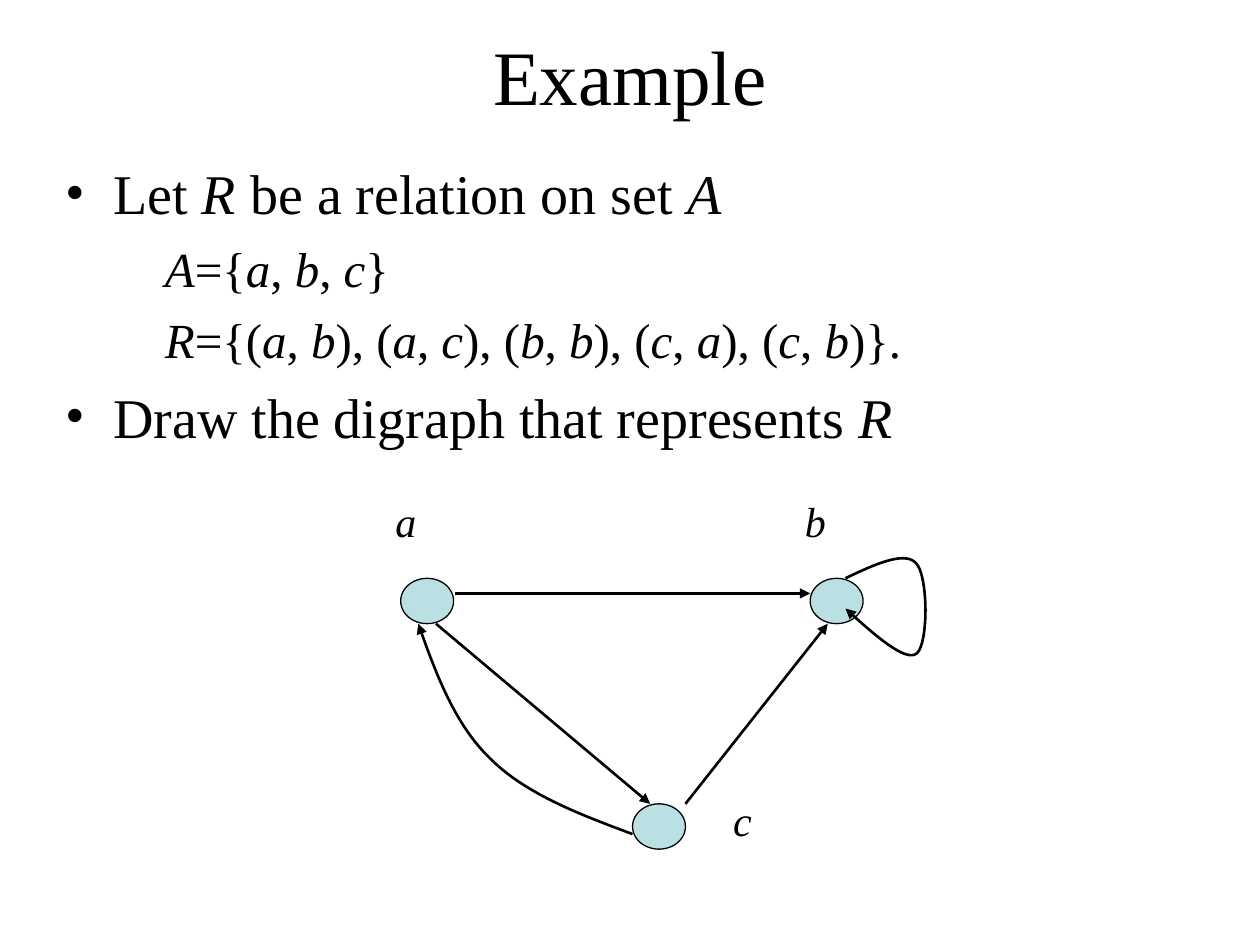
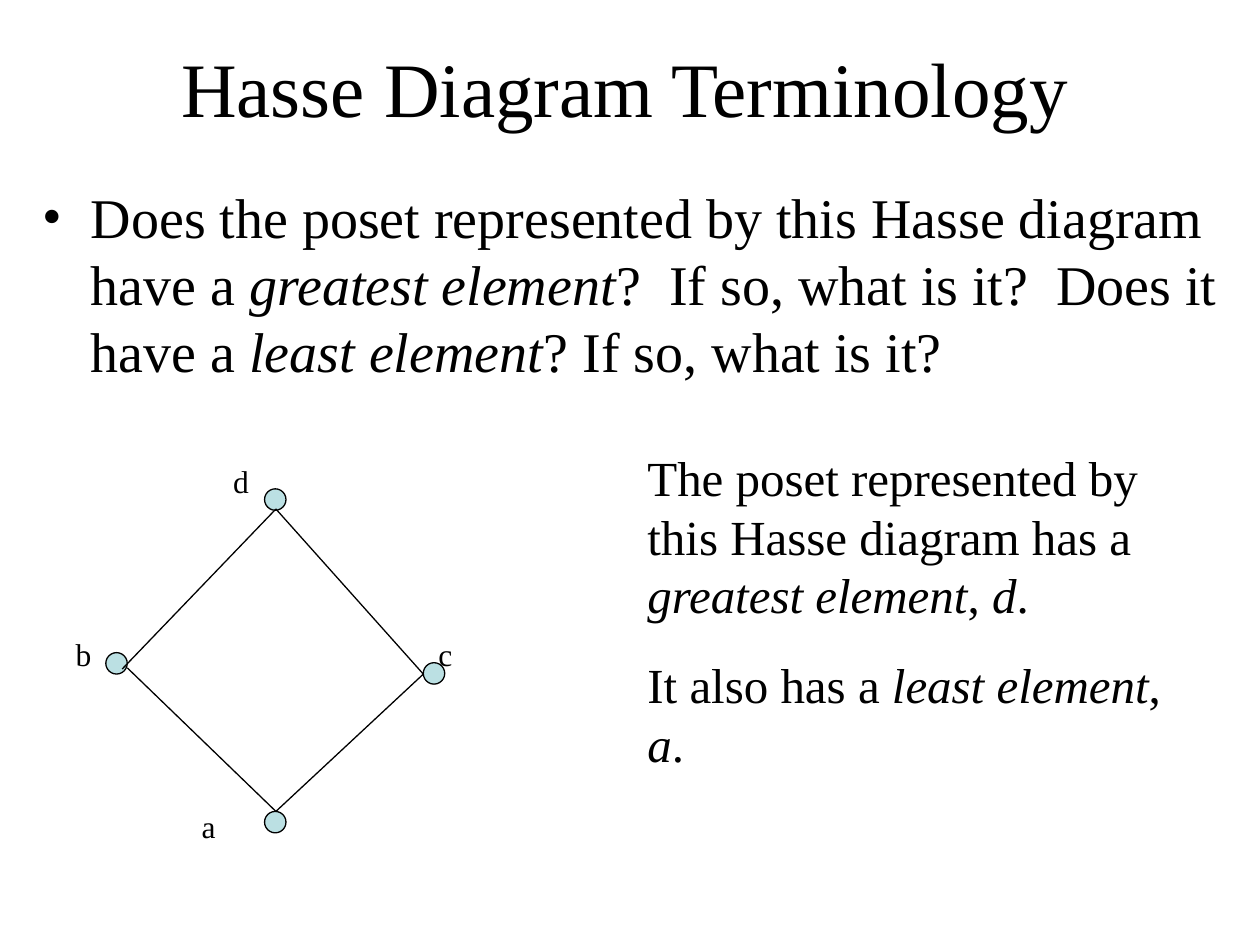
from dataclasses import dataclass

from lxml.etree import SubElement
from pptx import Presentation
from pptx.dml.color import RGBColor as Color
from pptx.enum.shapes import MSO_CONNECTOR as Connector, MSO_SHAPE as Shape
from pptx.enum.text import MSO_ANCHOR as Anchor, MSO_AUTO_SIZE as AutoSize, PP_ALIGN as Align
from pptx.oxml.ns import qn
from pptx.util import Inches, Pt


@dataclass(frozen=True)
class Theme:
    font: str = "Times New Roman"
    ink: Color = Color(0x00, 0x00, 0x00)
    paper: Color = Color(0xFF, 0xFF, 0xFF)
    node: Color = Color(0xBB, 0xE0, 0xE3)
    title: int = 44
    body: int = 32
    detail: int = 28
    vertex: int = 24
    label: int = 18
    thin: float = 0.75
    thick: float = 1.5


def write(para, text, theme, size, italic=False, before=0, bullet=False, indent=0, align=Align.LEFT):
    properties = para._p.get_or_add_pPr()
    hanging = 0.38 if bullet else 0
    properties.set("marL", str(Inches(indent + hanging)))
    properties.set("indent", str(-Inches(hanging)))
    if bullet:
        SubElement(properties, qn("a:buFont"), typeface=theme.font)
        SubElement(properties, qn("a:buChar"), char="•")
    else:
        SubElement(properties, qn("a:buNone"))
    para.alignment = align
    para.space_before = Pt(before)
    for index, piece in enumerate(text.split("*")):
        if piece:
            span = para.add_run()
            span.text = piece
            span.font.name = theme.font
            span.font.size = Pt(size)
            span.font.color.rgb = theme.ink
            span.font.italic = italic or index % 2 == 1


def curve_points(start, segments, steps=20):
    points = [start]
    for first, second, end in segments:
        for step in range(1, steps + 1):
            t = step / steps
            u = 1 - t
            points.append(tuple(
                u**3 * p0 + 3 * u * u * t * p1 + 3 * u * t * t * p2 + t**3 * p3
                for p0, p1, p2, p3 in zip(start, first, second, end)))
        start = end
    return points


class SlideBuilder:
    def __init__(self, deck, theme):
        self.deck = deck
        self.theme = theme
        self.page = None

    def start(self, title, left, top, width, height):
        self.page = self.deck.slides.add_slide(self.deck.slide_layouts[5])
        background = self.page.background.fill
        background.solid()
        background.fore_color.rgb = self.theme.paper
        box = self.page.shapes.title
        box.left, box.top = Inches(left), Inches(top)
        box.width, box.height = Inches(width), Inches(height)
        frame = box.text_frame
        frame.word_wrap = True
        frame.auto_size = AutoSize.NONE
        frame.vertical_anchor = Anchor.MIDDLE
        write(frame.paragraphs[0], title, self.theme, self.theme.title, align=Align.CENTER)

    def text(self, left, top, width, height, lines, inset=0.1, wrap=True):
        box = self.page.shapes.add_textbox(Inches(left), Inches(top), Inches(width), Inches(height))
        frame = box.text_frame
        frame.word_wrap = wrap
        frame.margin_left = frame.margin_right = Inches(inset)
        frame.margin_top = frame.margin_bottom = Inches(0.05)
        for index, (text, style) in enumerate(lines):
            para = frame.add_paragraph() if index else frame.paragraphs[0]
            write(para, text, self.theme, **style)

    def node(self, left, top, width, height):
        shape = self.page.shapes.add_shape(
            Shape.OVAL, Inches(left), Inches(top), Inches(width), Inches(height))
        shape.shadow.inherit = False
        shape.fill.solid()
        shape.fill.fore_color.rgb = self.theme.node
        self.outline(shape, self.theme.thin)

    def outline(self, shape, weight, arrow=False):
        shape.line.color.rgb = self.theme.ink
        shape.line.width = Pt(weight)
        if arrow:
            SubElement(shape.line._get_or_add_ln(), qn("a:tailEnd"), type="triangle")

    def edge(self, start, end, weight, arrow=False):
        line = self.page.shapes.add_connector(
            Connector.STRAIGHT, *(Inches(value) for value in start + end))
        self.outline(line, weight, arrow)
        SubElement(line._element.spPr, qn("a:effectLst"))

    def curve(self, start, segments):
        points = [(Inches(x), Inches(y)) for x, y in curve_points(start, segments)]
        outline = self.page.shapes.build_freeform(*points[0])
        outline.add_line_segments(points[1:], close=False)
        shape = outline.convert_to_shape()
        shape.shadow.inherit = False
        shape.fill.background()
        self.outline(shape, self.theme.thick, arrow=True)


def build_digraph(slide):
    theme = slide.theme
    slide.start("Example", 0.5, 0.18, 9, 0.82)
    point = dict(size=theme.body, bullet=True)
    formula = dict(size=theme.detail, before=7, indent=0.79)
    slide.text(0.42, 1.21, 9.32, 2.65, [
        ("Let *R* be a relation on set *A*", point),
        ("*A*={*a*, *b*, *c*}", formula),
        ("*R*={(*a*, *b*), (*a*, *c*), (*b*, *b*), (*c*, *a*), (*c*, *b*)}.", formula),
        ("Draw the digraph that represents *R*", dict(point, before=8)),
    ])
    vertices = {
        "a": ((3.18, 4.59), (3.04, 3.88)),
        "b": ((6.43, 4.59), (6.29, 3.88)),
        "c": ((5.02, 6.38), (5.72, 6.26)),
    }
    for name, (corner, label) in vertices.items():
        slide.node(*corner, 0.42, 0.36)
        slide.text(*label, 0.36, 0.5, [(name, dict(size=theme.vertex, italic=True))], wrap=False)
    arrows = [
        ((3.61, 4.71), (6.43, 4.71)),
        ((3.46, 4.95), (5.16, 6.38)),
        ((5.44, 6.38), (6.57, 4.95)),
    ]
    for start, end in arrows:
        slide.edge(start, end, theme.thick, arrow=True)
    slide.curve((6.71, 4.59), [
        ((6.94, 4.48), (7.18, 4.37), (7.27, 4.47)),
        ((7.37, 4.57), (7.37, 5.13), (7.27, 5.19)),
        ((7.18, 5.25), (6.94, 5.04), (6.71, 4.83)),
    ])
    slide.curve((5.02, 6.62), [
        ((4.59, 6.46), (4.17, 6.3), (3.89, 6.02)),
        ((3.61, 5.75), (3.46, 5.35), (3.32, 4.95)),
    ])


def build_hasse(slide):
    theme = slide.theme
    slide.start("Hasse Diagram Terminology", 0.17, 0.18, 9.58, 1.01)
    question = ("Does the poset represented by this Hasse diagram have a *greatest element*?"
                "  If so, what is it?  Does it have a *least element*? If so, what is it?")
    slide.text(0.34, 1.4, 9.41, 1.8, [(question, dict(size=theme.body, bullet=True))], inset=0)
    elements = {
        "d": ((2.1, 3.88), (1.85, 3.62)),
        "b": ((0.84, 5.18), (0.6, 4.99)),
        "c": ((3.36, 5.26), (3.48, 4.99)),
        "a": ((2.1, 6.44), (1.6, 6.36)),
    }
    for name, (corner, label) in elements.items():
        slide.node(*corner, 0.17, 0.17)
        slide.text(*label, 0.2, 0.4, [(name, dict(size=theme.label))], inset=0)
    top, right, bottom = (2.19, 4.04), (3.36, 5.35), (2.19, 6.44)
    for start, end in [(top, (0.97, 5.31)), (top, right), (right, bottom), ((1.01, 5.3), bottom)]:
        slide.edge(start, end, theme.thin)
    answer = dict(size=theme.detail)
    slide.text(5.04, 3.5, 4.54, 2.68, [
        ("The poset represented by this Hasse diagram has a *greatest element*, *d*.", answer),
        ("It also has a *least element*, *a*.", dict(answer, before=17.5)),
    ])


def main():
    deck = Presentation()
    deck.slide_width, deck.slide_height = Inches(10), Inches(7.5)
    slide = SlideBuilder(deck, Theme())
    build_digraph(slide)
    build_hasse(slide)
    deck.save("out.pptx")


if __name__ == "__main__":
    main()
